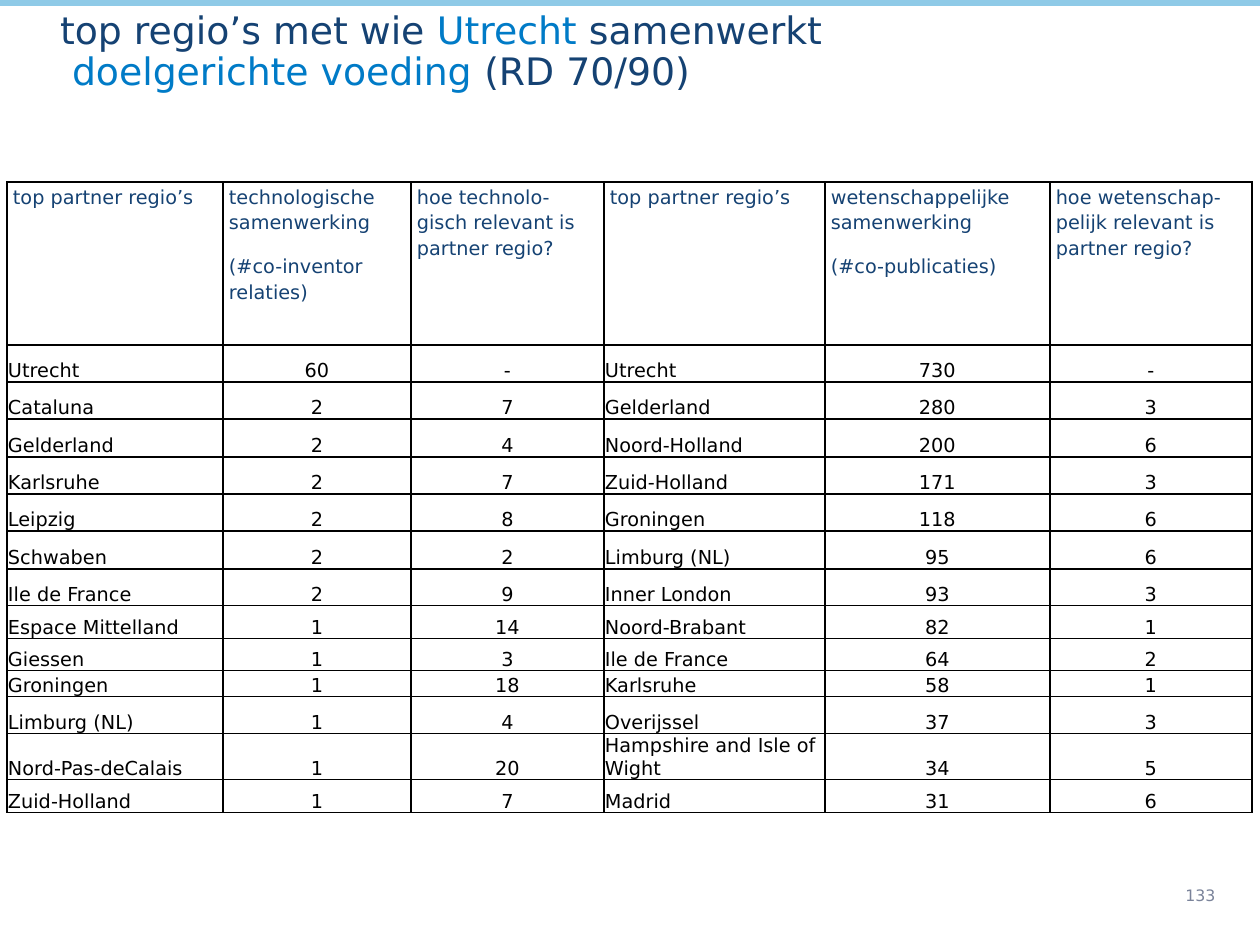
from lxml.etree import SubElement
from pptx import Presentation
from pptx.dml.color import RGBColor
from pptx.enum.shapes import MSO_SHAPE
from pptx.enum.text import MSO_ANCHOR, PP_ALIGN
from pptx.oxml.ns import qn
from pptx.util import Pt

NAVY = RGBColor(0x15, 0x42, 0x73)
BLUE = RGBColor(0x00, 0x7B, 0xC7)
SKY = RGBColor(0x8F, 0xCA, 0xE7)
GREY = RGBColor(0x7A, 0x83, 0x9A)
BLACK = RGBColor(0, 0, 0)
FONT = "DejaVu Sans"
EMU_PER_PX = 914400 // 126

TITLE_LINES = [
    [("top regio’s met wie ", NAVY), ("Utrecht", BLUE), (" samenwerkt", NAVY)],
    [(" doelgerichte voeding ", BLUE), ("(RD 70/90)", NAVY)],
]
PAGE_NUMBER = "133"
HEADERS = [
    ["top partner regio’s"],
    ["technologische samenwerking", "(#co-inventor relaties)"],
    ["hoe technolo-gisch relevant is partner regio?"],
    ["top partner regio’s"],
    ["wetenschappelijke samenwerking", "(#co-publicaties)"],
    ["hoe wetenschap-pelijk relevant is partner regio?"],
]
REGIONS = [
    ("Utrecht", "60", "-", "Utrecht", "730", "-"),
    ("Cataluna", "2", "7", "Gelderland", "280", "3"),
    ("Gelderland", "2", "4", "Noord-Holland", "200", "6"),
    ("Karlsruhe", "2", "7", "Zuid-Holland", "171", "3"),
    ("Leipzig", "2", "8", "Groningen", "118", "6"),
    ("Schwaben", "2", "2", "Limburg (NL)", "95", "6"),
    ("Ile de France", "2", "9", "Inner London", "93", "3"),
    ("Espace Mittelland", "1", "14", "Noord-Brabant", "82", "1"),
    ("Giessen", "1", "3", "Ile de France", "64", "2"),
    ("Groningen", "1", "18", "Karlsruhe", "58", "1"),
    ("Limburg (NL)", "1", "4", "Overijssel", "37", "3"),
    ("Nord-Pas-deCalais", "1", "20", "Hampshire and Isle of Wight", "34", "5"),
    ("Zuid-Holland", "1", "7", "Madrid", "31", "6"),
]
NAME_COLUMNS = (0, 3)
COLUMN_WIDTHS = [216, 188, 193, 221, 225, 202]
ROW_HEIGHTS = [163, 37, 37, 38, 37, 37, 38, 37, 33, 32, 26, 37, 46, 33]


def px(*lengths):
    return [length * EMU_PER_PX for length in lengths]


def set_all(target, values):
    for name, value in values.items():
        setattr(target, name, value)


def set_font(font, size, color):
    set_all(font, {"name": FONT, "size": Pt(size), "bold": False})
    font.color.rgb = color


def set_margins(holder, left, top, right, bottom):
    names = ("margin_left", "margin_top", "margin_right", "margin_bottom")
    set_all(holder, dict(zip(names, px(left, top, right, bottom))))


def set_borders(cell):
    properties = cell.fill._xPr
    for index, side in enumerate(("lnL", "lnR", "lnT", "lnB")):
        border = SubElement(properties, qn(f"a:{side}"), w=str(Pt(1)))
        fill = SubElement(border, qn("a:solidFill"))
        SubElement(fill, qn("a:srgbClr"), val=str(BLACK))
        properties.insert(index, border)


def fill_cell(cell, paragraphs, color, margins, anchor, formats):
    cell.fill.background()
    set_borders(cell)
    set_margins(cell, *margins)
    cell.vertical_anchor = anchor
    cell.text = "\n".join(paragraphs)
    for paragraph in cell.text_frame.paragraphs:
        set_all(paragraph, formats)
        for run in paragraph.runs:
            set_font(run.font, 11, color)


def add_title(slide):
    title = slide.shapes.title
    box = ("left", "top", "width", "height")
    set_all(title, dict(zip(box, px(48, 55, 1201, 90))))
    frame = title.text_frame
    set_all(frame, {"word_wrap": True, "vertical_anchor": MSO_ANCHOR.BOTTOM})
    set_margins(frame, 12, 0, 12, 51)
    paragraph = frame.paragraphs[0]
    set_all(paragraph, {"alignment": PP_ALIGN.LEFT, "line_spacing": 0.9, "space_before": Pt(0)})
    for number, line in enumerate(TITLE_LINES):
        if number:
            paragraph.add_line_break()
        for words, color in line:
            run = paragraph.add_run()
            run.text = words
            set_font(run.font, 21.6, color)


def add_region_table(slide):
    table = slide.shapes.add_table(
        len(ROW_HEIGHTS), len(COLUMN_WIDTHS),
        *px(7, 182, sum(COLUMN_WIDTHS), sum(ROW_HEIGHTS))).table
    set_all(table, {"first_row": False, "horz_banding": False})
    for column, width in zip(table.columns, px(*COLUMN_WIDTHS)):
        column.width = width
    for row, height in zip(table.rows, px(*ROW_HEIGHTS)):
        row.height = height

    header_format = {"alignment": PP_ALIGN.LEFT, "line_spacing": 1.15, "space_after": Pt(10)}
    for column, paragraphs in enumerate(HEADERS):
        fill_cell(table.cell(0, column), paragraphs, NAVY, (6, 1, 6, 0),
                  MSO_ANCHOR.TOP, header_format)
    for row, values in enumerate(REGIONS, start=1):
        for column, value in enumerate(values):
            alignment = PP_ALIGN.LEFT if column in NAME_COLUMNS else PP_ALIGN.CENTER
            fill_cell(table.cell(row, column), [value], BLACK, (1, 1, 1, 0),
                      MSO_ANCHOR.BOTTOM, {"alignment": alignment})


def main():
    presentation = Presentation()
    set_all(presentation, dict(zip(("slide_width", "slide_height"), px(1260, 945))))
    slide = presentation.slides.add_slide(presentation.slide_layouts[5])

    top_bar = slide.shapes.add_shape(MSO_SHAPE.RECTANGLE, *px(0, 0, 1260, 5))
    top_bar.shadow.inherit = False
    top_bar.fill.solid()
    top_bar.fill.fore_color.rgb = SKY
    top_bar.line.color.rgb = SKY
    top_bar.line.width = Pt(0.75)

    add_title(slide)
    add_region_table(slide)

    page_number = slide.shapes.add_textbox(*px(1173, 869, 86, 52)).text_frame
    set_all(page_number, {"word_wrap": True, "vertical_anchor": MSO_ANCHOR.MIDDLE,
                          "text": PAGE_NUMBER})
    set_font(page_number.paragraphs[0].runs[0].font, 9, GREY)

    presentation.save("out.pptx")


if __name__ == "__main__":
    main()
